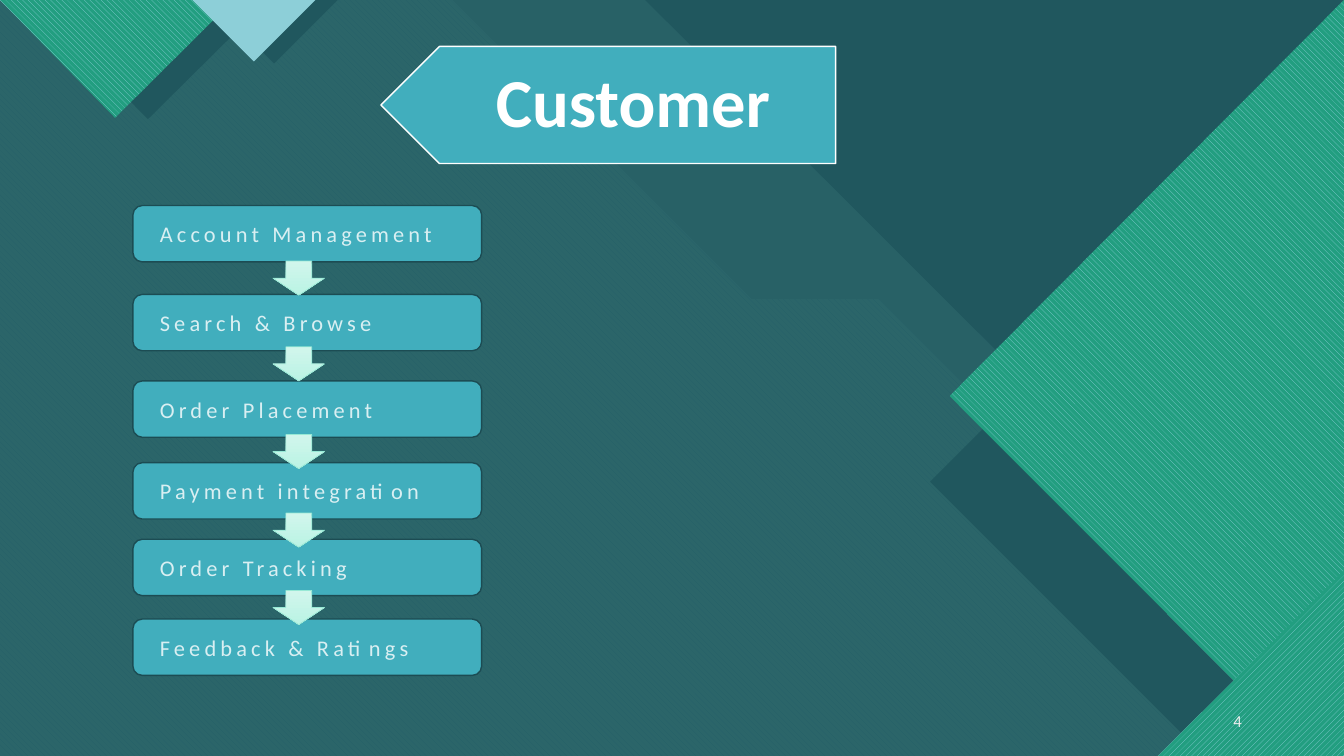
from dataclasses import dataclass
from typing import Optional

import pptx
import pptx.dml.color
import pptx.enum.dml
import pptx.enum.shapes
import pptx.enum.text
import pptx.oxml.ns
import pptx.shapes.autoshape
import pptx.slide
import pptx.text.text
import pptx.util
from lxml import etree
from pptx.util import Cm

WIDTH, HEIGHT = 33.87, 19.05
FONT = "Calibri"
COLOURS = {
    "base": "0C4360", "mint": "97E9D5", "deep": "20575E", "green": "229E80",
    "sky": "8DCFD8", "teal": "41AEBD", "outline": "1C4C53", "label": "D9EFF2",
    "arrow_top": "D1F6EC", "arrow_bottom": "BAF3E4", "number": "EDEDED",
    "white": "FFFFFF",
}
SHAPE = pptx.enum.shapes.MSO_SHAPE
PATTERN = pptx.enum.dml.MSO_PATTERN
ALIGN = pptx.enum.text.PP_ALIGN
MIDDLE = pptx.enum.text.MSO_ANCHOR.MIDDLE


@dataclass(frozen=True)
class Facet:
    """A flat background polygon, in centimetres."""
    corners: list[tuple[float, float]]
    colour: str
    opacity: int = 100
    pattern: Optional[int] = None
    back: str = "green"


@dataclass(frozen=True)
class Step:
    """A stage of the flow, with the arrow that leaves it."""
    label: str
    top: float
    arrow_top: Optional[float] = None


FACETS = [
    # Broad backdrop layers
    Facet([(0, 0), (20.98, 0), (28.52, 7.54), (31.37, 7.54), (WIDTH, 10.06),
           (WIDTH, HEIGHT), (0, HEIGHT)], "mint", opacity=74),
    Facet([(0, 0), (11.4, 0), (18.95, 7.54), (22.15, 7.54), (33.66, HEIGHT),
           (0, HEIGHT)], "teal", pattern=PATTERN.WIDE_DOWNWARD_DIAGONAL, back="mint"),
    Facet([(16.26, 0), (WIDTH, 0), (WIDTH, 17.58)], "deep"),
    Facet([(0, 0), (17.65, 0), (25.2, 7.54), (28.4, 7.54), (WIDTH, 13.03),
           (WIDTH, HEIGHT), (0, HEIGHT)], "deep", opacity=90),
    # Right-hand diamond and corner, each over its shadow
    Facet([(WIDTH, 1.73), (WIDTH, HEIGHT), (30.35, HEIGHT), (23.44, 12.14)], "deep"),
    Facet([(WIDTH, 0), (WIDTH, HEIGHT), (32.99, HEIGHT), (23.93, 9.98)], "sky",
          pattern=PATTERN.WIDE_DOWNWARD_DIAGONAL),
    Facet([(WIDTH, 15.6), (WIDTH, HEIGHT), (30.4, HEIGHT)], "deep"),
    Facet([(WIDTH, 14.38), (WIDTH, HEIGHT), (29.18, HEIGHT)], "sky",
          pattern=PATTERN.WIDE_UPWARD_DIAGONAL),
    # Top-left triangles, each over its shadow
    Facet([(0.74, 0), (6.76, 0), (3.73, 3)], "deep"),
    Facet([(0, 0), (5.89, 0), (2.9, 2.97)], "sky",
          pattern=PATTERN.WIDE_DOWNWARD_DIAGONAL),
    Facet([(5.31, 0), (8.51, 0), (6.91, 1.6)], "deep"),
    Facet([(4.85, 0), (7.95, 0), (6.4, 1.55)], "sky"),
]

STEPS = [
    Step("Account Management", 5.18, 6.58),
    Step("Search & Browse", 7.42, 8.74),
    Step("Order Placement", 9.6, 10.95),
    Step("Payment integration", 11.66, 12.93),
    Step("Order Tracking", 13.59, 14.88),
    Step("Feedback & Ratings", 15.6),
]


def rgb(name: str) -> pptx.dml.color.RGBColor:
    return pptx.dml.color.RGBColor.from_string(COLOURS[name])


def draw_facet(slide: pptx.slide.Slide, facet: Facet) -> None:
    corners = [(Cm(x), Cm(y)) for x, y in facet.corners]
    builder = slide.shapes.build_freeform(*corners[0], scale=1.0)
    builder.add_line_segments(corners[1:], close=True)
    polygon = builder.convert_to_shape()
    polygon.shadow.inherit = False
    polygon.line.fill.background()
    if facet.pattern is not None:
        polygon.fill.patterned()
        polygon.fill.pattern = facet.pattern
        polygon.fill.fore_color.rgb = rgb(facet.colour)
        polygon.fill.back_color.rgb = rgb(facet.back)
        return
    polygon.fill.solid()
    polygon.fill.fore_color.rgb = rgb(facet.colour)
    if facet.opacity < 100:
        tint = polygon._element.spPr.find(".//" + pptx.oxml.ns.qn("a:srgbClr"))
        alpha = etree.SubElement(tint, pptx.oxml.ns.qn("a:alpha"))
        alpha.set("val", str(facet.opacity * 1000))


def draw_preset(slide: pptx.slide.Slide, kind: int, left: float, top: float,
                width: float, height: float, outline: str,
                weight: float = 1) -> pptx.shapes.autoshape.Shape:
    preset = slide.shapes.add_shape(kind, Cm(left), Cm(top), Cm(width), Cm(height))
    preset.shadow.inherit = False
    preset.fill.solid()
    preset.fill.fore_color.rgb = rgb("teal")
    preset.line.color.rgb = rgb(outline)
    preset.line.width = pptx.util.Pt(weight)
    return preset


def write(frame: pptx.text.text.TextFrame, text: str, size: float, colour: str,
          align: int, bold: bool = False, spacing: float = 0) -> None:
    frame.word_wrap = True
    frame.vertical_anchor = MIDDLE
    paragraph = frame.paragraphs[0]
    paragraph.alignment = align
    run = paragraph.add_run()
    run.text = text
    run.font.name = FONT
    run.font.size = pptx.util.Pt(size)
    run.font.bold = bold
    run.font.color.rgb = rgb(colour)
    if spacing:
        run._r.get_or_add_rPr().set("spc", str(int(spacing * 100)))


def draw_step(slide: pptx.slide.Slide, step: Step) -> None:
    box = draw_preset(slide, SHAPE.ROUNDED_RECTANGLE, 3.35, step.top, 8.79, 1.42,
                      "outline")
    box.text_frame.margin_left = Cm(0.61)
    write(box.text_frame, step.label, 16, "label", ALIGN.LEFT, spacing=3)


def draw_arrow(slide: pptx.slide.Slide, top: float) -> None:
    arrow = draw_preset(slide, SHAPE.DOWN_ARROW, 6.88, top, 1.3, 0.86, "mint", 0.5)
    arrow.fill.gradient()
    arrow.fill.gradient_angle = 270
    for stop, shade in zip(arrow.fill.gradient_stops, ("arrow_top", "arrow_bottom")):
        stop.color.rgb = rgb(shade)


def draw_heading(slide: pptx.slide.Slide) -> None:
    plate = draw_preset(slide, SHAPE.PENTAGON, 9.6, 1.17, 11.46, 2.95, "white")
    plate.rotation = 180
    heading = slide.shapes.title
    heading.left, heading.top = Cm(10.34), Cm(1.17)
    heading.width, heading.height = Cm(10.72), Cm(2.95)
    frame = heading.text_frame
    frame.margin_left, frame.margin_right = Cm(1.47), Cm(0.97)
    frame.margin_top = frame.margin_bottom = Cm(0.5)
    write(frame, "Customer", 49, "white", ALIGN.CENTER, bold=True)
    frame.paragraphs[0].line_spacing = 0.9
    plate._element.addnext(heading._element)  # bring the heading above its plate


def main() -> None:
    deck = pptx.Presentation()
    deck.slide_width, deck.slide_height = Cm(WIDTH), Cm(HEIGHT)
    slide = deck.slides.add_slide(deck.slide_layouts[5])

    # Backdrop
    slide.background.fill.solid()
    slide.background.fill.fore_color.rgb = rgb("base")
    for facet in FACETS:
        draw_facet(slide, facet)

    # Page number
    page_number = slide.shapes.add_textbox(Cm(23.93), Cm(17.65), Cm(7.62), Cm(1.02))
    write(page_number.text_frame, "4", 12, "number", ALIGN.RIGHT)

    draw_heading(slide)

    # Flow: boxes first, arrows on top
    for step in STEPS:
        draw_step(slide, step)
    for step in STEPS:
        if step.arrow_top is not None:
            draw_arrow(slide, step.arrow_top)

    deck.save("out.pptx")


if __name__ == "__main__":
    main()
